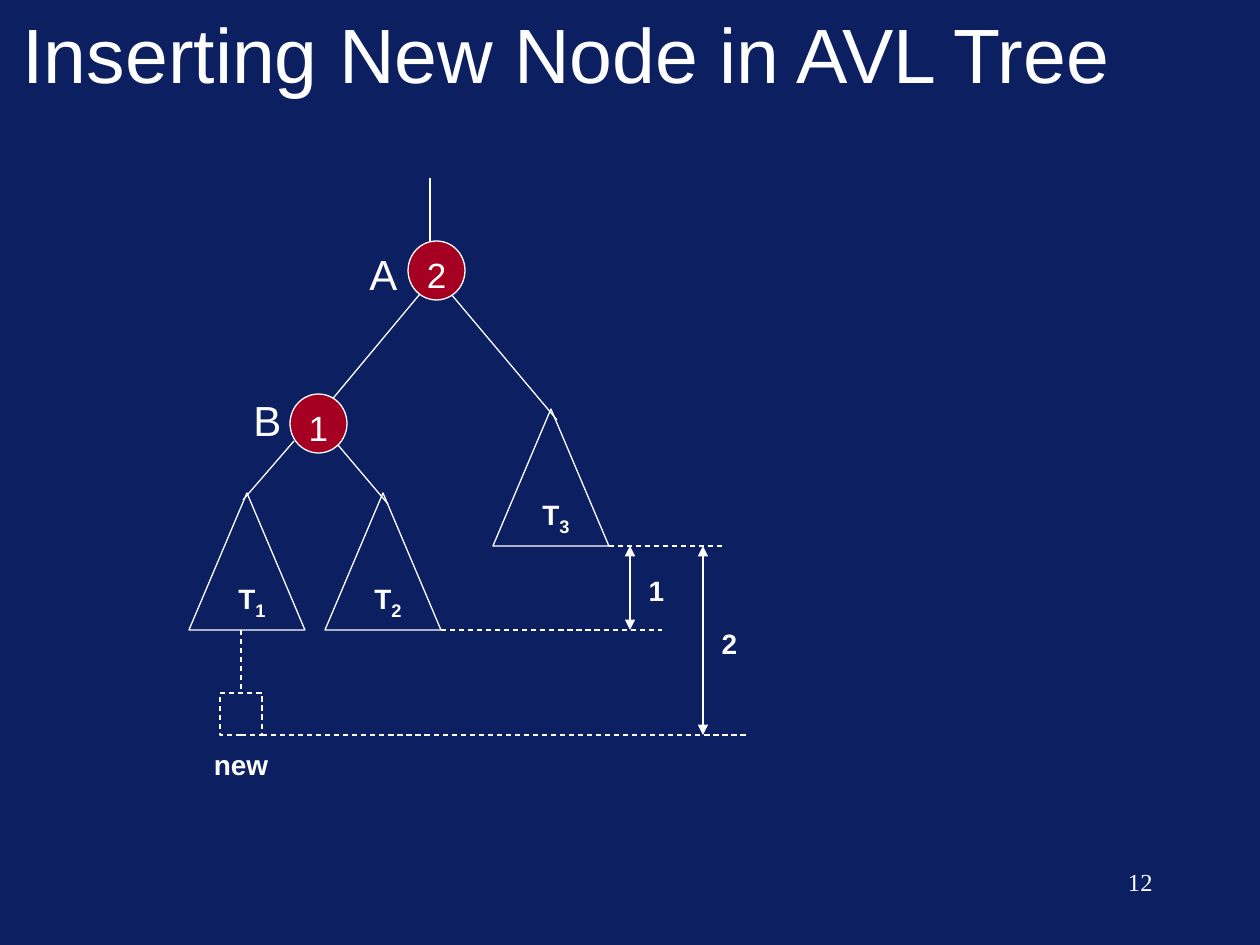
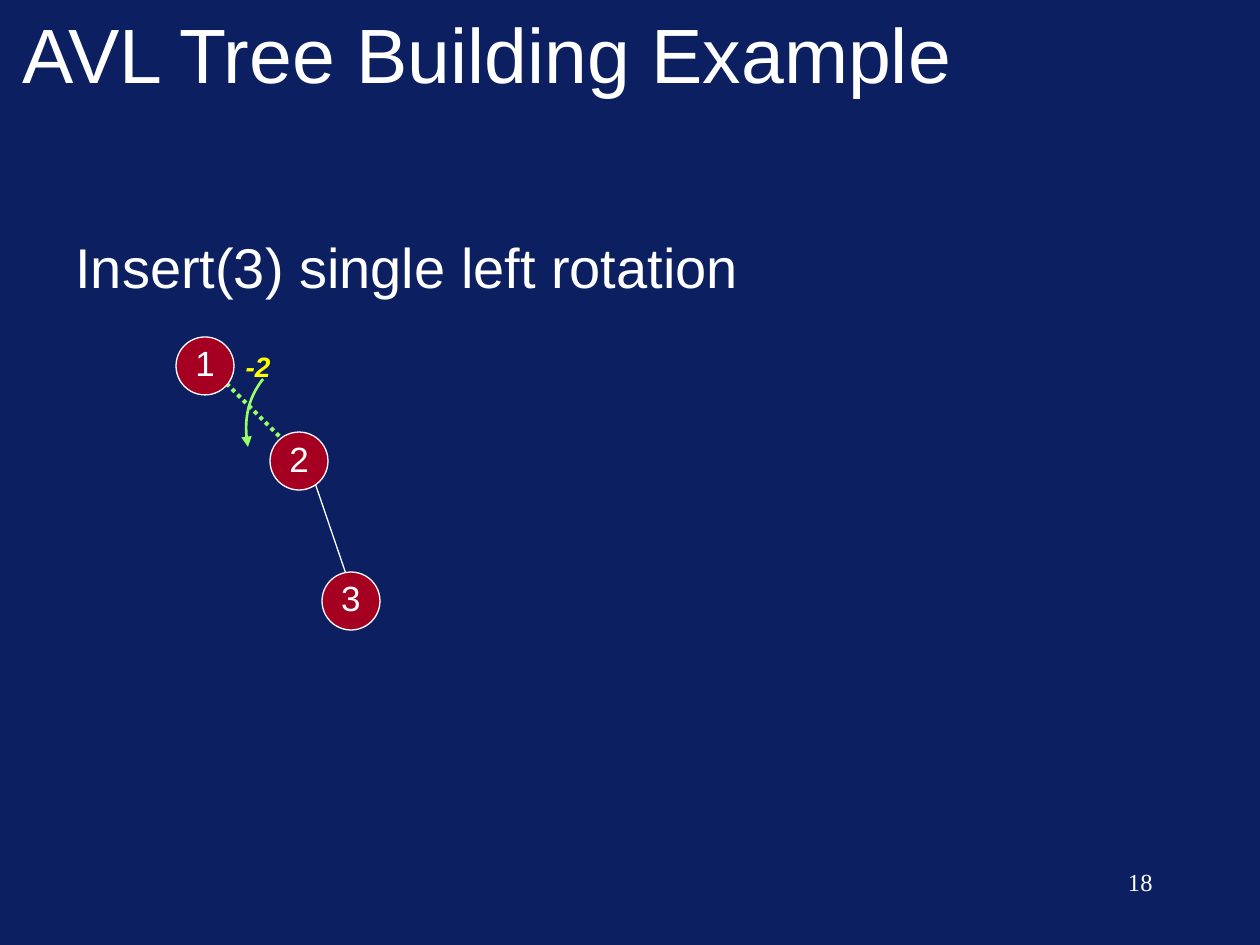
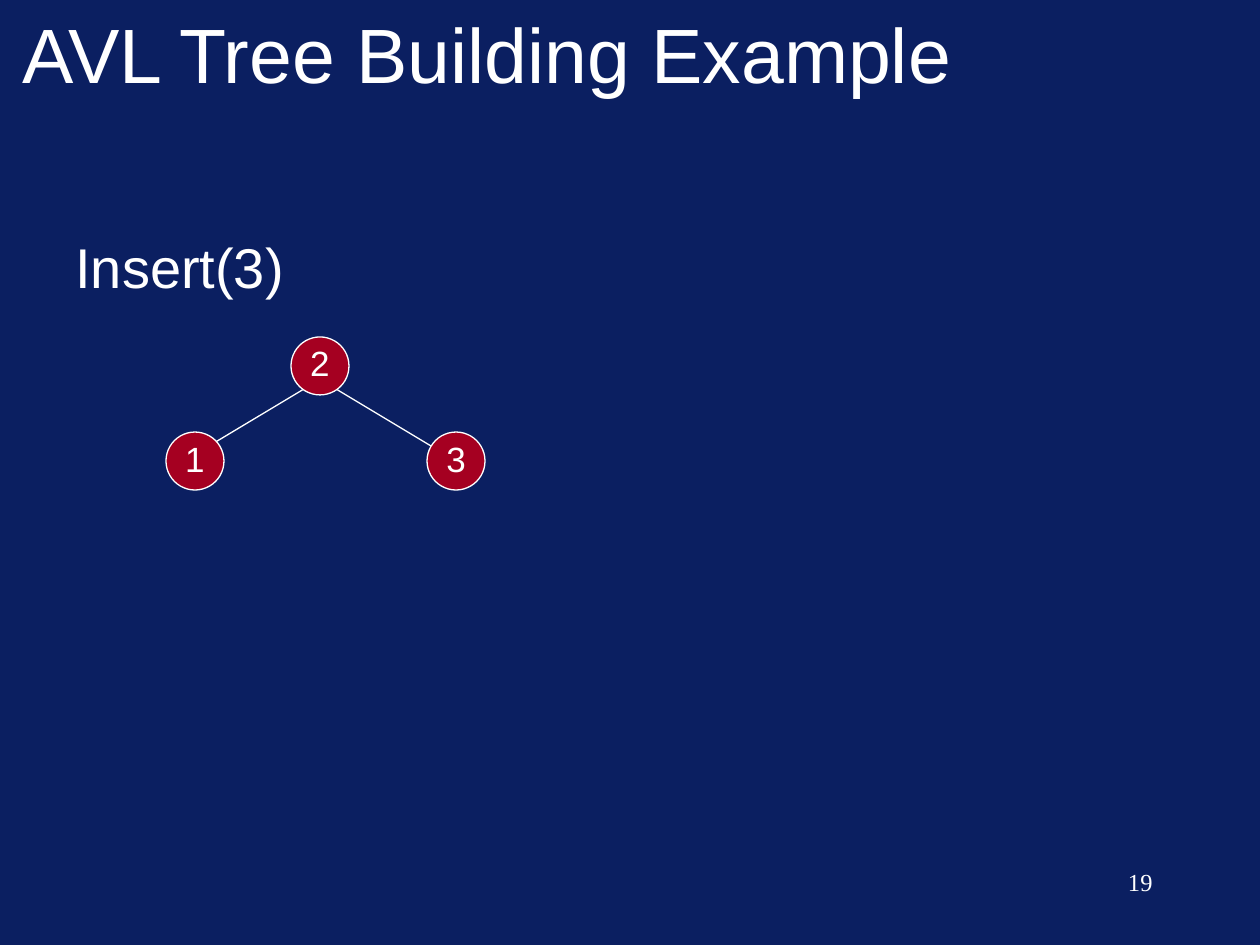
"""Build three slides on inserting nodes into AVL trees."""
from lxml.etree import SubElement
from pptx import Presentation
from pptx.dml.color import RGBColor
from pptx.enum.dml import MSO_LINE
from pptx.enum.shapes import MSO_CONNECTOR, MSO_SHAPE
from pptx.enum.text import MSO_ANCHOR, MSO_AUTO_SIZE, PP_ALIGN
from pptx.oxml.ns import qn
from pptx.util import Emu, Pt

NAVY = RGBColor(0x0B, 0x1F, 0x61)
CRIMSON = RGBColor(0xA5, 0x00, 0x21)
WHITE = RGBColor(0xFF, 0xFF, 0xFF)
LIME = RGBColor(0x99, 0xFF, 0x66)
YELLOW = RGBColor(0xFF, 0xFF, 0x00)
SANS, SERIF = "Arial", "Times New Roman"
TITLE_ONLY = 5


def px(length):
    return Emu(round(length * 914400 / 126))


def write(frame, text, size=16, font=SANS, color=WHITE, bold=False, italic=False,
          align=PP_ALIGN.CENTER, anchor=MSO_ANCHOR.TOP, wrap=True, subscript=""):
    frame.auto_size = MSO_AUTO_SIZE.NONE
    frame.word_wrap = wrap
    frame.vertical_anchor = anchor
    paragraph = frame.paragraphs[0]
    paragraph.alignment = align
    for content, lowered in ((text, False), (subscript, True)):
        if not content:
            continue
        run = paragraph.add_run()
        run.text = content
        run.font.name = font
        run.font.size = Pt(18 if lowered else size)
        run.font.bold, run.font.italic = bold, italic
        run.font.color.rgb = color
        if lowered:
            run.font._element.set("baseline", "-25000")


class TreeDeck:
    def __init__(self):
        self.deck = Presentation()
        self.deck.slide_width, self.deck.slide_height = px(1260), px(945)
        background = self.deck.slide_master.background.fill
        background.solid()
        background.fore_color.rgb = NAVY
        self.shapes = None

    def slide(self, heading, number):
        layout = self.deck.slide_layouts[TITLE_ONLY]
        self.shapes = self.deck.slides.add_slide(layout).shapes
        title = self.shapes.title
        title.left, title.top, title.width, title.height = map(px, (10, -10, 1134, 126))
        write(title.text_frame, heading, size=44, align=PP_ALIGN.LEFT,
              anchor=MSO_ANCHOR.MIDDLE)
        self.label(str(number), 903, 861, 262, 63, size=14, font=SERIF,
                   align=PP_ALIGN.RIGHT)

    def label(self, text, x, y, width, height, **style):
        box = self.shapes.add_textbox(*map(px, (x, y, width, height)))
        write(box.text_frame, text, **style)

    def step(self, text):
        self.label(text, 63, 226, 1134, 94, size=32, align=PP_ALIGN.LEFT)

    def stroke(self, part, color=WHITE, weight=0.75, dash=None, arrows=()):
        part.line.color.rgb = color
        part.line.width = Pt(weight)
        if dash:
            part.line.dash_style = dash
        outline = part._element.spPr.find(qn("a:ln"))
        for end in arrows:
            SubElement(outline, qn(f"a:{end}"), type="triangle")

    def outline(self, kind, x, y, width, height, fill=None, dash=None):
        part = self.shapes.add_shape(kind, *map(px, (x, y, width, height)))
        part.shadow.inherit = False
        if fill:
            part.fill.solid()
            part.fill.fore_color.rgb = fill
        else:
            part.fill.background()
        self.stroke(part, dash=dash)
        return part

    def node(self, value, x, y, width=58, height=58, drop=-3):
        circle = self.outline(MSO_SHAPE.OVAL, x, y, width, height, fill=CRIMSON)
        frame = circle.text_frame
        frame.margin_left = frame.margin_right = 0
        frame.margin_top = px(max(2 * drop, 0))
        frame.margin_bottom = px(max(-2 * drop, 0))
        write(frame, value, size=20, anchor=MSO_ANCHOR.MIDDLE, wrap=False)

    def subtree(self, index, x, y):
        self.label("T", x + 21, y + 79, 84, 55, bold=True, subscript=index)
        self.outline(MSO_SHAPE.ISOSCELES_TRIANGLE, x, y, 116, 137)

    def edge(self, x1, y1, x2, y2, **style):
        edge = self.shapes.add_connector(MSO_CONNECTOR.STRAIGHT,
                                         *map(px, (x1, y1, x2, y2)))
        self.stroke(edge, **style)
        SubElement(edge._element.spPr, qn("a:effectLst"))
        return edge

    def curved_arrow(self, start, *controls_and_end):
        builder = self.shapes.build_freeform(*map(px, start))
        builder.add_line_segments([tuple(map(px, point)) for point in controls_and_end],
                                  close=False)
        arrow = builder.convert_to_shape()
        segments = list(arrow._element.iter(qn("a:lnTo")))
        curve = SubElement(segments[0].getparent(), qn("a:cubicBezTo"))
        for segment in segments:
            curve.append(segment[0])
            segment.getparent().remove(segment)
        arrow.shadow.inherit = False
        arrow.fill.background()
        self.stroke(arrow, color=LIME, weight=1.5, arrows=["tailEnd"])


def insertion_slide(deck):
    deck.slide("Inserting New Node in AVL Tree", 12)
    for branch in ((430, 241, 430, 178), (420, 294, 315, 420), (451, 294, 557, 420),
                   (338, 445, 388, 504), (294, 441, 243, 500)):
        deck.edge(*branch)
    for name, balance, x, y, name_x, name_y in (("A", "2", 408, 241, 357, 242),
                                                ("B", "1", 290, 394, 241, 388)):
        deck.node(balance, x, y, width=57, height=59, drop=4)
        deck.label(name, name_x, name_y, 53, 63, size=24, wrap=False)
    for index, x, y in (("1", 189, 493), ("2", 325, 493), ("3", 493, 409)):
        deck.subtree(index, x, y)

    new_node = deck.outline(MSO_SHAPE.RECTANGLE, 220, 693, 42, 42, dash=MSO_LINE.DASH)
    deck.edge(241, 630, 241, 693, dash=MSO_LINE.DASH).end_connect(new_node, 0)
    deck.label("new", 199, 741, 84, 47, bold=True)

    for x1, x2, level in ((609, 724, 546), (441, 662, 630), (262, 746, 735)):
        deck.edge(x1, level, x2, level, dash=MSO_LINE.DASH)
    for difference, x, bottom, label_y in (("1", 630, 630, 567), ("2", 703, 735, 620)):
        deck.edge(x, 546, x, bottom, arrows=["headEnd", "tailEnd"])
        deck.label(difference, x, label_y, 53, 47, bold=True)


def rotation_slide(deck):
    deck.slide("AVL Tree Building Example", 18)
    deck.edge(315, 483, 347, 577)
    deck.edge(221, 378, 284, 441, color=LIME, weight=2.25, dash=MSO_LINE.ROUND_DOT)
    deck.step("Insert(3) single left rotation")
    for value, x, y in (("1", 176, 337), ("2", 270, 432), ("3", 322, 572)):
        deck.node(value, x, y)
    deck.label("-2", 233, 343, 50, 47, color=YELLOW, bold=True, italic=True)
    deck.curved_arrow((263, 379), (249, 397), (243, 422), (248, 447))


def balanced_slide(deck):
    deck.slide("AVL Tree Building Example", 19)
    deck.edge(304, 389, 199, 452)
    deck.edge(336, 389, 441, 452)
    deck.step("Insert(3)")
    for value, x, y in (("1", 166, 432), ("2", 291, 337), ("3", 427, 432)):
        deck.node(value, x, y)


def main():
    deck = TreeDeck()
    insertion_slide(deck)
    rotation_slide(deck)
    balanced_slide(deck)
    deck.deck.save("out.pptx")


if __name__ == "__main__":
    main()
